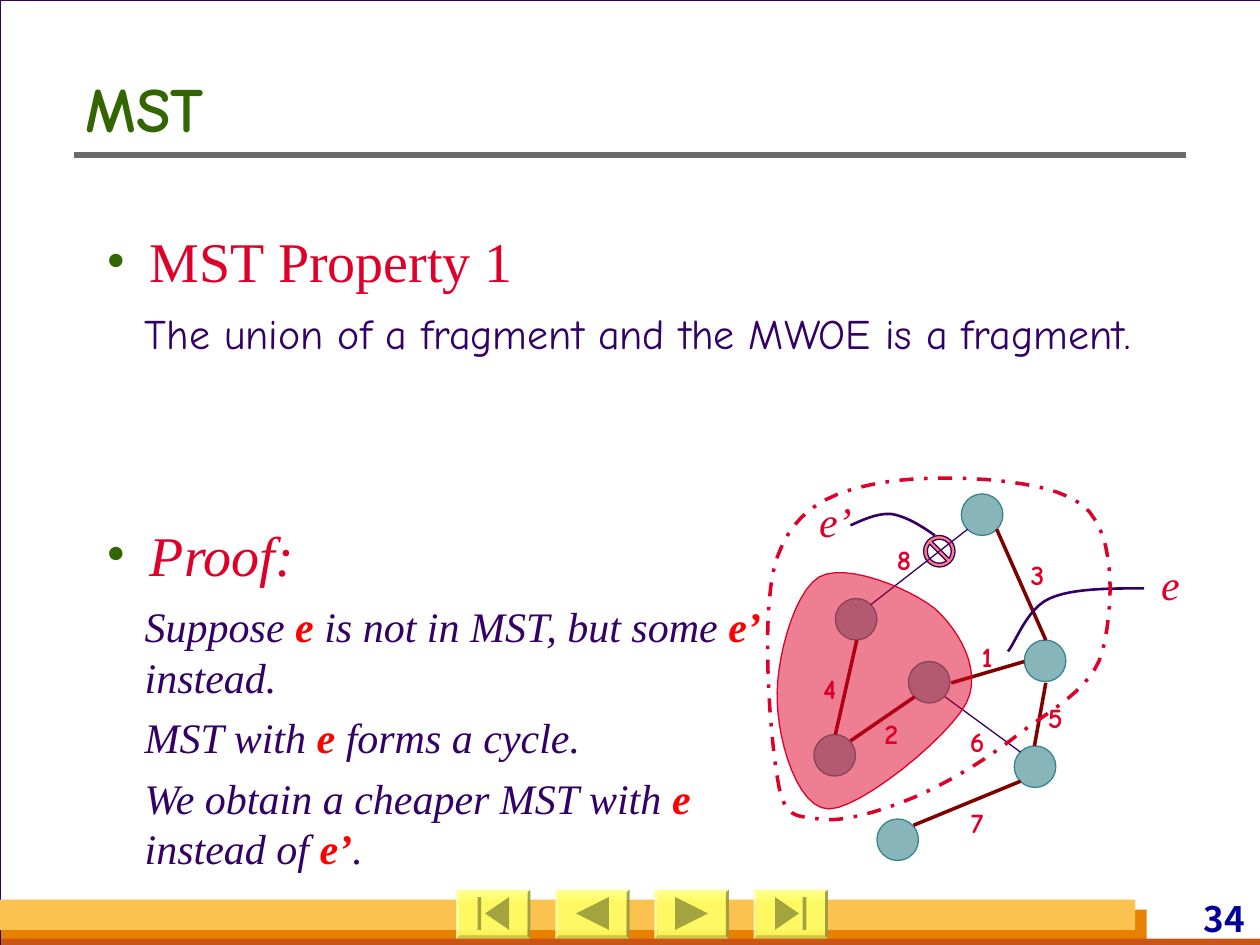
import pptx
import pptx.util
import pptx.dml.color
import pptx.enum.dml
import pptx.enum.shapes
import pptx.enum.text
import pptx.oxml.ns
from lxml import etree

Inches, Pt = pptx.util.Inches, pptx.util.Pt
SHAPE = pptx.enum.shapes.MSO_SHAPE
ALIGN = pptx.enum.text.PP_ALIGN
ANCHOR = pptx.enum.text.MSO_ANCHOR
qn = pptx.oxml.ns.qn

RED, PURPLE, GREEN = "DF0029", "330066", "336600"
TEAL, MAROON, BRIGHT = "39858B", "800000", "FF0000"
SERIF, COMIC = "Times New Roman", "Comic Neue"


def rgb(color):
    return pptx.dml.color.RGBColor.from_string(color)


def style(sp, fill=None, line=None, width=0.74, alpha=100, dash=None):
    sp.shadow.inherit = False
    if fill:
        sp.fill.solid()
        sp.fill.fore_color.rgb = rgb(fill)
        if alpha < 100:
            clr = sp.fill._xPr.find(".//" + qn("a:srgbClr"))
            etree.SubElement(clr, qn("a:alpha"), val=str(alpha * 1000))
    else:
        sp.fill.background()
    if line:
        sp.line.color.rgb = rgb(line)
        sp.line.width = Pt(width)
        if dash:
            sp.line.dash_style = dash
    else:
        sp.line.fill.background()
    return sp


def add_shape(s, kind, x, y, w, h, **fmt):
    sp = s.shapes.add_shape(kind, Inches(x), Inches(y), Inches(w), Inches(h))
    return style(sp, **fmt)


def add_line(s, x1, y1, x2, y2, color, width):
    c = s.shapes.add_connector(pptx.enum.shapes.MSO_CONNECTOR.STRAIGHT,
                               Inches(x1), Inches(y1), Inches(x2), Inches(y2))
    c.line.color.rgb = rgb(color)
    c.line.width = Pt(width)
    etree.SubElement(c._element.spPr, qn("a:effectLst"))


def add_outline(s, pts, close, **fmt):
    fb = s.shapes.build_freeform(Inches(pts[0][0]), Inches(pts[0][1]))
    fb.add_line_segments([(Inches(x), Inches(y)) for x, y in pts[1:]], close=close)
    return style(fb.convert_to_shape(), **fmt)


def add_curve(s, start, segments, close=False, steps=12, **fmt):
    """Cubic segments (x1, y1, x2, y2, x, y), drawn as short chords."""
    pts = [start]
    for x1, y1, x2, y2, x3, y3 in segments:
        x0, y0 = pts[-1]
        for i in range(1, steps + 1):
            t = i / steps
            a, b, c, d = (1 - t) ** 3, 3 * t * (1 - t) ** 2, 3 * t * t * (1 - t), t ** 3
            pts.append((a * x0 + b * x1 + c * x2 + d * x3,
                        a * y0 + b * y1 + c * y2 + d * y3))
    return add_outline(s, pts, close, **fmt)


def write(sp, text, size=24, font=SERIF, color=PURPLE, bold=False, italic=False,
          align=ALIGN.LEFT, anchor=ANCHOR.TOP, wrap=True, inset=(0.1, 0.05), bullet=False):
    """Text between asterisks is bright red and bold."""
    tf = sp.text_frame
    tf.word_wrap = wrap
    tf.auto_size = pptx.enum.text.MSO_AUTO_SIZE.NONE
    tf.vertical_anchor = anchor
    tf.margin_left = tf.margin_right = Inches(inset[0])
    tf.margin_top = tf.margin_bottom = Inches(inset[1])
    p = tf.paragraphs[0]
    p.alignment = align
    for i, part in enumerate(text.split("*")):
        if part:
            r = p.add_run()
            r.text = part
            r.font.size, r.font.name = Pt(size), font
            r.font.bold, r.font.italic = bold or i % 2 == 1, italic
            r.font.color.rgb = rgb(BRIGHT if i % 2 else color)
            etree.SubElement(r.font._element, qn("a:ea"), typeface=font)
    if bullet:
        pPr = p._p.get_or_add_pPr()
        pPr.set("marL", str(Inches(0.23)))
        pPr.set("indent", str(-Inches(0.23)))
        clr = etree.SubElement(pPr, qn("a:buClr"))
        etree.SubElement(clr, qn("a:srgbClr"), val=GREEN)
        etree.SubElement(pPr, qn("a:buFont"), typeface=SERIF)
        etree.SubElement(pPr, qn("a:buChar"), char="\u2022")


def add_text(s, text, x, y, w, h, **fmt):
    write(s.shapes.add_textbox(Inches(x), Inches(y), Inches(w), Inches(h)), text, **fmt)


def add_label(s, text, x, y, w=0.25, **fmt):
    add_text(s, text, x, y, w, 0.42, color=RED, align=ALIGN.CENTER,
             anchor=ANCHOR.MIDDLE, wrap=False, **fmt)


def add_button(s, x, direction, bar):
    b = add_shape(s, SHAPE.BEVEL, x, 7.06, 0.59, 0.39, fill="FFFF66", alpha=90)
    b.adjustments[0] = 0.06
    mid, y = x + 0.295, 7.25
    half = 0.095 if bar else 0.13
    center = mid - direction * 0.03 if bar else mid
    tip, back = center + direction * half, center - direction * half
    add_outline(s, [(tip, y), (back, y - 0.13), (back, y + 0.13)], True, fill="A4A43E")
    if bar:
        add_shape(s, SHAPE.RECTANGLE, mid + direction * 0.11 - 0.015, y - 0.13,
                  0.03, 0.26, fill="A4A43E")


def add_frame(s):
    add_shape(s, SHAPE.RECTANGLE, 0, 0, 10.01, 7.5, fill="FFFFFF", line=PURPLE)
    for x, y, w, h, color in [(0.01, 7.22, 9.09, 0.28, "E88000"),
                              (0.01, 7.45, 10, 0.08, "C95616"),
                              (0, 7.14, 9.01, 0.24, "FCC24F")]:
        add_shape(s, SHAPE.RECTANGLE, x, y, w, h, fill=color)
    add_text(s, "34", 8.86, 7.12, 1.06, 0.33, size=20, font="Noto Sans CJK SC",
             color="000099", bold=True, align=ALIGN.RIGHT, inset=(0.04, 0))
    add_line(s, 0.59, 1.23, 9.41, 1.23, "6B6B6B", 3)
    for i, (direction, bar) in enumerate([(-1, True), (-1, False), (1, False), (1, True)]):
        add_button(s, 3.62 + i * 0.787, direction, bar)


def add_title(s):
    t = s.shapes.title
    t.left, t.top, t.width, t.height = Inches(0.58), Inches(0.5), Inches(8.92), Inches(0.7)
    write(t, "MST", size=36, font=COMIC, color=GREEN, bold=True)
    s.shapes._spTree.append(t._element)  # bring in front of the white page


def add_body(s):
    for text, y, italic in [(" MST Property 1", 1.75, False), (" Proof:", 4.08, True)]:
        add_text(s, text, 0.75, y, 6.08, 0.64, size=32, color=RED, italic=italic, bullet=True)
    add_text(s, "The union of a fragment and the MWOE is a fragment.",
             1.05, 2.39, 8.78, 0.5, font=COMIC)
    for text, y, h in [("Suppose *e* is not in MST, but some *e\u2019 *instead.", 4.72, 0.9),
                       ("MST with *e* forms a cycle.", 5.6, 0.5),
                       ("We obtain a cheaper MST with *e* instead of *e\u2019*.", 6.08, 0.9)]:
        add_text(s, text, 1.05, y, 5.28, h, italic=True)


def add_graph(s):
    # Nodes
    for x, y in [(7.21, 5.25), (7.63, 3.92), (8.05, 5.92), (8.13, 5.08),
                 (6.96, 6.5), (6.63, 4.75), (6.46, 5.83)]:
        add_shape(s, SHAPE.OVAL, x, y, 0.33, 0.33, fill=TEAL, alpha=60, line=TEAL)
    # Edges outside the tree, then tree edges
    for ends in [(6.91, 4.8, 7.68, 4.2), (7.5, 5.53, 8.1, 5.97)]:
        add_line(s, *ends, PURPLE, 0.74)
    for ends in [(7.55, 5.42, 8.13, 5.25), (8.3, 5.08, 7.91, 4.2), (7.26, 5.53, 6.75, 5.88),
                 (8.21, 5.92, 8.3, 5.42), (8.1, 6.2, 7.25, 6.55), (6.63, 5.83, 6.8, 5.08)]:
        add_line(s, *ends, MAROON, 2)
    # Weights
    for weight, x, y in [(1, 7.71, 5), (2, 6.95, 5.61), (3, 8.11, 4.35), (4, 6.46, 5.25),
                         (5, 8.25, 5.48), (6, 7.63, 5.67), (7, 7.63, 6.32), (8, 7.05, 4.23)]:
        add_label(s, str(weight), x, y, size=16, font=COMIC, bold=True)
    # Fragment
    add_curve(s, (6.5, 4.58), [
        (6.71, 4.46, 7.22, 4.67, 7.42, 4.83), (7.61, 5, 7.8, 5.32, 7.67, 5.58),
        (7.53, 5.85, 6.83, 6.42, 6.58, 6.42), (6.33, 6.42, 6.18, 5.89, 6.17, 5.58),
        (6.15, 5.28, 6.29, 4.71, 6.5, 4.58)], close=True, fill=RED, alpha=50, line=RED)
    # Names of the two edges
    add_label(s, "e", 9.08, 4.42, w=0.42, italic=True)
    add_curve(s, (9.08, 4.67), [(8.8, 4.67, 8.51, 4.67, 8.33, 4.75),
                                (8.15, 4.83, 8.06, 5.1, 8, 5.17)], line=PURPLE, width=1.5)
    add_label(s, "e\u2019", 6.42, 3.92, w=0.42, italic=True)
    add_curve(s, (6.75, 4.17), [(6.86, 4.12, 6.97, 4.07, 7.08, 4.08),
                                (7.19, 4.1, 7.31, 4.17, 7.42, 4.25)], line=PURPLE, width=1.5)
    # Cycle
    add_curve(s, (6.17, 6.17), [
        (6.22, 6.51, 6.32, 6.47, 6.5, 6.5), (6.68, 6.53, 6.99, 6.44, 7.25, 6.33),
        (7.51, 6.22, 7.83, 6.03, 8.08, 5.83), (8.33, 5.64, 8.67, 5.47, 8.75, 5.17),
        (8.83, 4.86, 8.88, 4.22, 8.58, 4), (8.29, 3.78, 7.4, 3.76, 7, 3.83),
        (6.6, 3.9, 6.31, 4.03, 6.17, 4.42), (6.03, 4.81, 6.11, 5.82, 6.17, 6.17)],
        close=True, line=RED, width=2, dash=pptx.enum.dml.MSO_LINE.DASH_DOT)
    # Rejected edge
    no = add_shape(s, SHAPE.NO_SYMBOL, 7.33, 4.25, 0.25, 0.25, fill=BRIGHT, alpha=50, line=PURPLE)
    no.adjustments[0] = 0.12


def main():
    prs = pptx.Presentation()
    prs.slide_width, prs.slide_height = Inches(10), Inches(7.5)
    s = prs.slides.add_slide(prs.slide_layouts[5])
    s.background.fill.solid()
    s.background.fill.fore_color.rgb = rgb("D8DADA")
    add_frame(s)
    add_title(s)
    add_body(s)
    add_graph(s)
    prs.save("out.pptx")


main()
